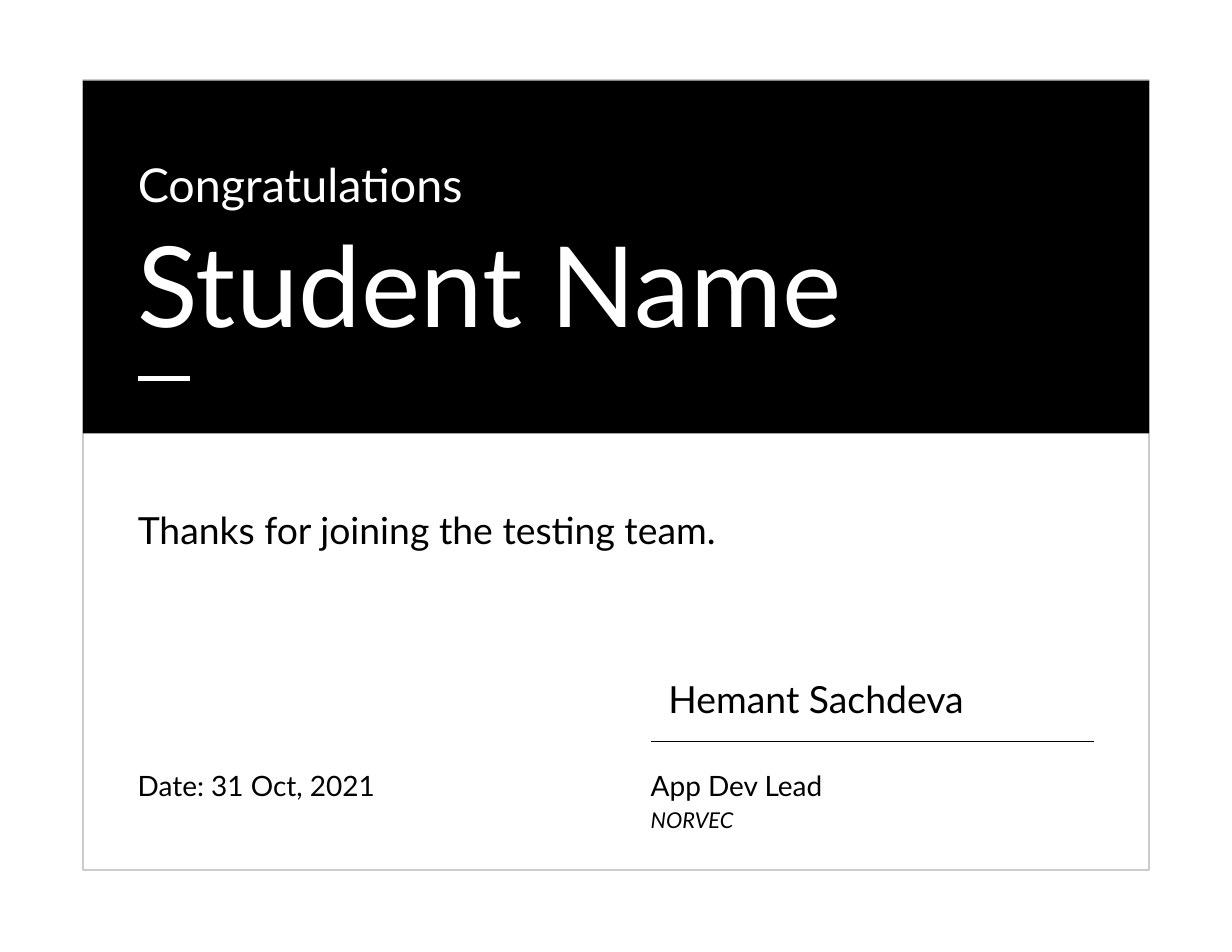
from lxml import etree
from pptx import Presentation
from pptx.dml.color import RGBColor
from pptx.enum.shapes import MSO_CONNECTOR, MSO_SHAPE
from pptx.enum.text import MSO_ANCHOR
from pptx.oxml.ns import qn
from pptx.util import Inches, Pt

BLACK = RGBColor(0x00, 0x00, 0x00)
WHITE = RGBColor(0xFF, 0xFF, 0xFF)
GREY = RGBColor(0xCC, 0xCC, 0xCC)
FONT = "Lato"
INSET = 0.12


def add_panel(slide, box, fill, border=None):
    panel = slide.shapes.add_shape(MSO_SHAPE.RECTANGLE, *map(Inches, box))
    panel.shadow.inherit = False
    panel.fill.solid()
    panel.fill.fore_color.rgb = fill
    if border is None:
        panel.line.fill.background()
    else:
        panel.line.color.rgb = border
        panel.line.width = Pt(1.5)


def add_rule(slide, left, top, length, color, weight):
    rule = slide.shapes.add_connector(
        MSO_CONNECTOR.STRAIGHT,
        Inches(left), Inches(top), Inches(left + length), Inches(top))
    rule.line.color.rgb = color
    rule.line.width = Pt(weight)
    etree.SubElement(rule._element.spPr, qn("a:effectLst"))


def add_text(slide, box, lines, color, anchor=MSO_ANCHOR.TOP,
             spacing=1.15, inset=INSET):
    """Place lines, each a (text, size, italic) tuple, as paragraphs in box."""
    frame = slide.shapes.add_textbox(*map(Inches, box)).text_frame
    frame.word_wrap = True
    frame.vertical_anchor = anchor
    frame.margin_left = frame.margin_right = Inches(inset)
    frame.margin_top = frame.margin_bottom = Inches(inset)
    for index, (text, size, italic) in enumerate(lines):
        paragraph = frame.paragraphs[0] if index == 0 else frame.add_paragraph()
        paragraph.text = text
        paragraph.line_spacing = spacing
        paragraph.font.name = FONT
        paragraph.font.size = Pt(size)
        paragraph.font.italic = italic
        paragraph.font.color.rgb = color


def add_header(slide, box):
    left, top, width, _ = box
    text_left, text_width = left + 0.37, width - 0.73
    add_panel(slide, box, BLACK)
    add_text(slide, (text_left, top + 0.62, text_width, 0.53),
             [("Congratulations", 30, False)], WHITE, MSO_ANCHOR.MIDDLE)
    add_text(slide, (text_left, top + 1.45, text_width, 1.07),
             [("Student Name", 72, False)], WHITE, MSO_ANCHOR.BOTTOM, spacing=1.0)
    add_rule(slide, text_left + INSET, top + 2.66, 0.47, WHITE, 3)


def add_message(slide, box):
    left, top, width, _ = box
    add_text(slide, (left + 0.37, top + 0.37, width - 0.73, 0.92),
             [("Thanks for joining the testing team.", 24, False)],
             BLACK, MSO_ANCHOR.MIDDLE)


def add_signature(slide, box):
    left, top, width, height = box
    column_width = 3.96
    signer_left = left + width - 0.61 - column_width
    footer_top = top + height - 1.07
    add_text(slide, (left + 0.37, footer_top, column_width, 0.66),
             [("Date: 31 Oct, 2021", 18, False)], BLACK)
    add_rule(slide, signer_left + INSET, footer_top - 0.08, column_width, BLACK, 0.75)
    add_text(slide, (signer_left, footer_top, column_width, 0.66),
             [("App Dev Lead", 18, False), ("NORVEC", 14, True)], BLACK)
    add_text(slide, (signer_left + 0.18, footer_top - 0.76, 3.85, 0.61),
             [("Hemant Sachdeva", 24, False)], BLACK, spacing=1.0, inset=0.1)


def add_certificate(slide, box):
    left, top, width, height = box
    header_height = 3.15
    body = (left, top + header_height, width, height - header_height)
    add_panel(slide, box, WHITE, GREY)
    add_header(slide, (left, top, width, header_height))
    add_message(slide, body)
    add_signature(slide, body)


def main():
    presentation = Presentation()
    presentation.slide_width = Inches(11)
    presentation.slide_height = Inches(8.5)
    slide = presentation.slides.add_slide(presentation.slide_layouts[6])
    add_certificate(slide, (0.74, 0.72, 9.52, 7.05))
    presentation.save("out.pptx")


if __name__ == "__main__":
    main()
